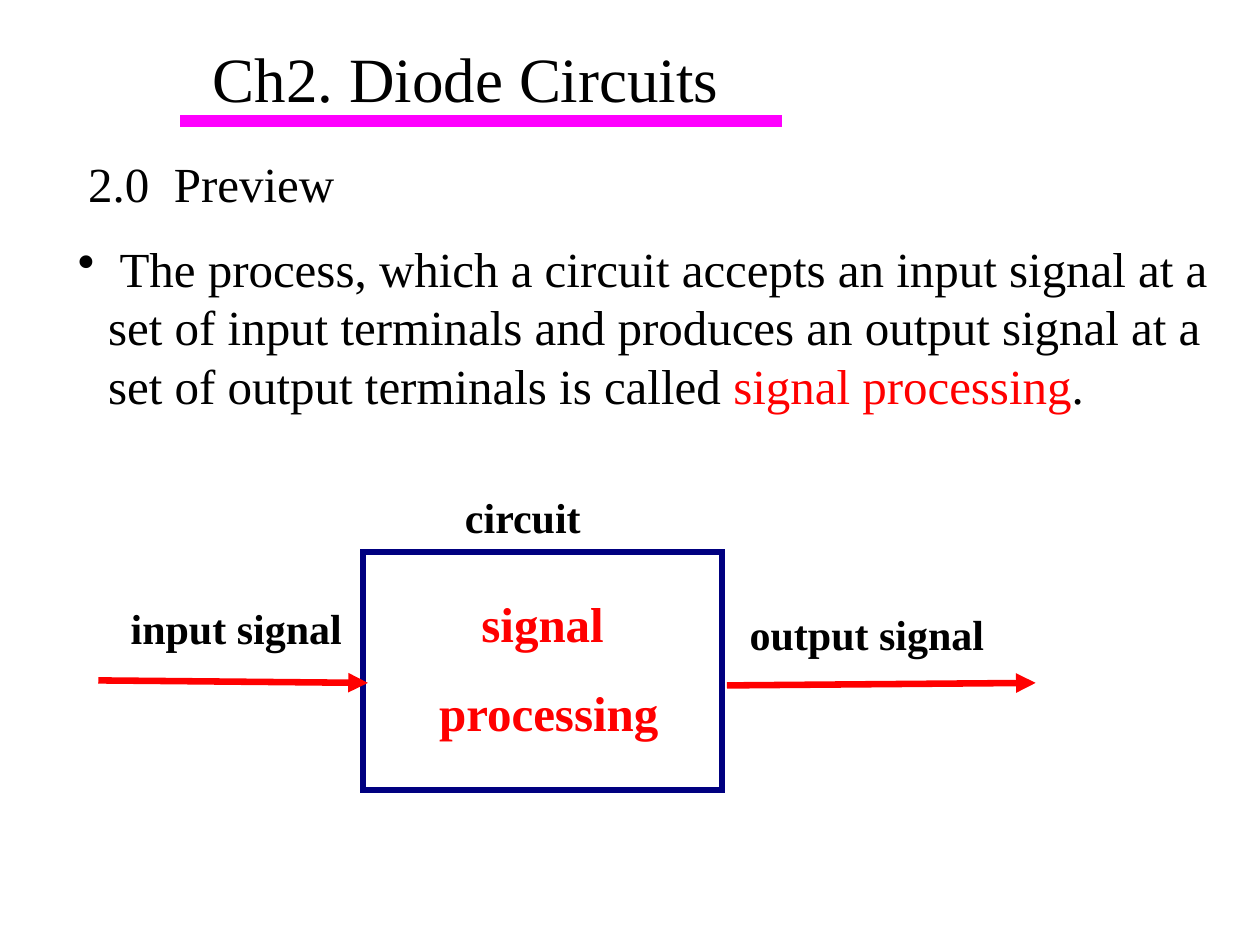
from lxml.etree import SubElement
from pptx import Presentation
from pptx.dml.color import RGBColor
from pptx.enum.shapes import MSO_CONNECTOR, MSO_SHAPE
from pptx.enum.text import MSO_ANCHOR, MSO_AUTO_SIZE, PP_ALIGN
from pptx.oxml.ns import qn
from pptx.util import Inches, Pt

FONT = "Times New Roman"
BLACK, RED, NAVY, MAGENTA = "000000", "FF0000", "000080", "FF00FF"


def color(value):
    """Turn a hex string into a colour."""
    return RGBColor.from_string(value)


def place(shape, left, top, width, height):
    """Move and size a shape, in inches."""
    shape.left, shape.top = Inches(left), Inches(top)
    shape.width, shape.height = Inches(width), Inches(height)


def set_bullet(para, symbol=None, hanging=0):
    """Give a paragraph a hanging bullet, or none at all."""
    properties = para._p.get_or_add_pPr()
    properties.set("marL", str(Inches(hanging)))
    properties.set("indent", str(-Inches(hanging)))
    if symbol:
        SubElement(properties, qn("a:buChar")).set("char", symbol)
    else:
        SubElement(properties, qn("a:buNone"))


def add_span(para, text, size=28, fill=BLACK, bold=False):
    """Append formatted text to a paragraph."""
    span = para.add_run()
    span.text = text
    span.font.name = FONT
    span.font.size = Pt(size)
    span.font.bold = bold
    span.font.color.rgb = color(fill)


def fill_placeholder(box, text, bounds, size, anchor):
    """Move a placeholder and write one plain left-aligned line in it."""
    place(box, *bounds)
    frame = box.text_frame
    frame.auto_size = MSO_AUTO_SIZE.NONE
    frame.vertical_anchor = anchor
    para = frame.paragraphs[0]
    set_bullet(para)
    para.alignment = PP_ALIGN.LEFT
    para.space_before = Pt(0)
    add_span(para, text, size=size)


def add_label(page, lines, bounds, gap=0, **style):
    """Add a centred bold label of one or more paragraphs."""
    frame = page.shapes.add_textbox(*map(Inches, bounds)).text_frame
    frame.word_wrap = False
    frame.auto_size = MSO_AUTO_SIZE.SHAPE_TO_FIT_TEXT
    for index, line in enumerate(lines):
        para = frame.add_paragraph() if index else frame.paragraphs[0]
        para.alignment = PP_ALIGN.CENTER
        para.space_before = Pt(gap if index else 0)
        add_span(para, line, bold=True, **style)


def add_statement(page, spans, bounds):
    """Add a bulleted paragraph made of coloured spans."""
    frame = page.shapes.add_textbox(*map(Inches, bounds)).text_frame
    frame.word_wrap = True
    para = frame.paragraphs[0]
    set_bullet(para, "•", 0.24)
    for text, fill in spans:
        add_span(para, text, fill=fill)


def add_line(page, start, end, fill, width, arrow=False):
    """Draw a straight line, with an arrowhead at its end on request."""
    line = page.shapes.add_connector(
        MSO_CONNECTOR.STRAIGHT, *map(Inches, (*start, *end)))
    line.line.color.rgb = color(fill)
    line.line.width = Pt(width)
    if arrow:
        SubElement(line.line._get_or_add_ln(), qn("a:tailEnd")).set("type", "triangle")
    SubElement(line._element.spPr, qn("a:effectLst"))


def add_frame(page, bounds, fill, width):
    """Draw an unfilled rectangle with sharp corners."""
    box = page.shapes.add_shape(MSO_SHAPE.RECTANGLE, *map(Inches, bounds))
    box.shadow.inherit = False
    box.fill.background()
    box.line.color.rgb = color(fill)
    box.line.width = Pt(width)
    SubElement(box.line._get_or_add_ln(), qn("a:miter")).set("lim", "800000")


def main():
    """Build the slide and save it."""
    deck = Presentation()
    deck.slide_width, deck.slide_height = Inches(10), Inches(7.5)
    page = deck.slides.add_slide(deck.slide_layouts[1])

    fill_placeholder(page.shapes.title, "Ch2. Diode Circuits",
                     (1.59, 0.06, 4.33, 1.11), 36, MSO_ANCHOR.MIDDLE)
    fill_placeholder(page.placeholders[1], "2.0  Preview",
                     (0.6, 1.17, 3.06, 0.58), 28, MSO_ANCHOR.TOP)
    add_line(page, (1.43, 0.96), (6.21, 0.96), MAGENTA, 7)
    add_statement(page, [
        (" The process, which a circuit accepts an input signal at a set of "
         "input terminals and produces an output signal at a set of output "
         "terminals is called ", BLACK),
        ("signal processing", RED),
        (".", BLACK),
    ], (0.52, 1.84, 9.48, 1.5))

    add_frame(page, (2.88, 4.38, 2.85, 1.89), NAVY, 3.75)
    add_label(page, ["signal ", "processing"], (3.38, 4.66, 1.95, 1.28),
              gap=17.5, fill=RED)
    add_line(page, (0.78, 5.4), (2.92, 5.42), RED, 3.75, arrow=True)
    add_line(page, (5.77, 5.44), (8.22, 5.42), RED, 3.75, arrow=True)
    for text, left, top, width in [("input signal", 0.9, 4.73, 1.95),
                                   ("output signal", 5.83, 4.78, 2.1),
                                   ("circuit", 3.57, 3.85, 1.16)]:
        add_label(page, [text], (left, top, width, 0.5), size=24)

    deck.save("out.pptx")


if __name__ == "__main__":
    main()
